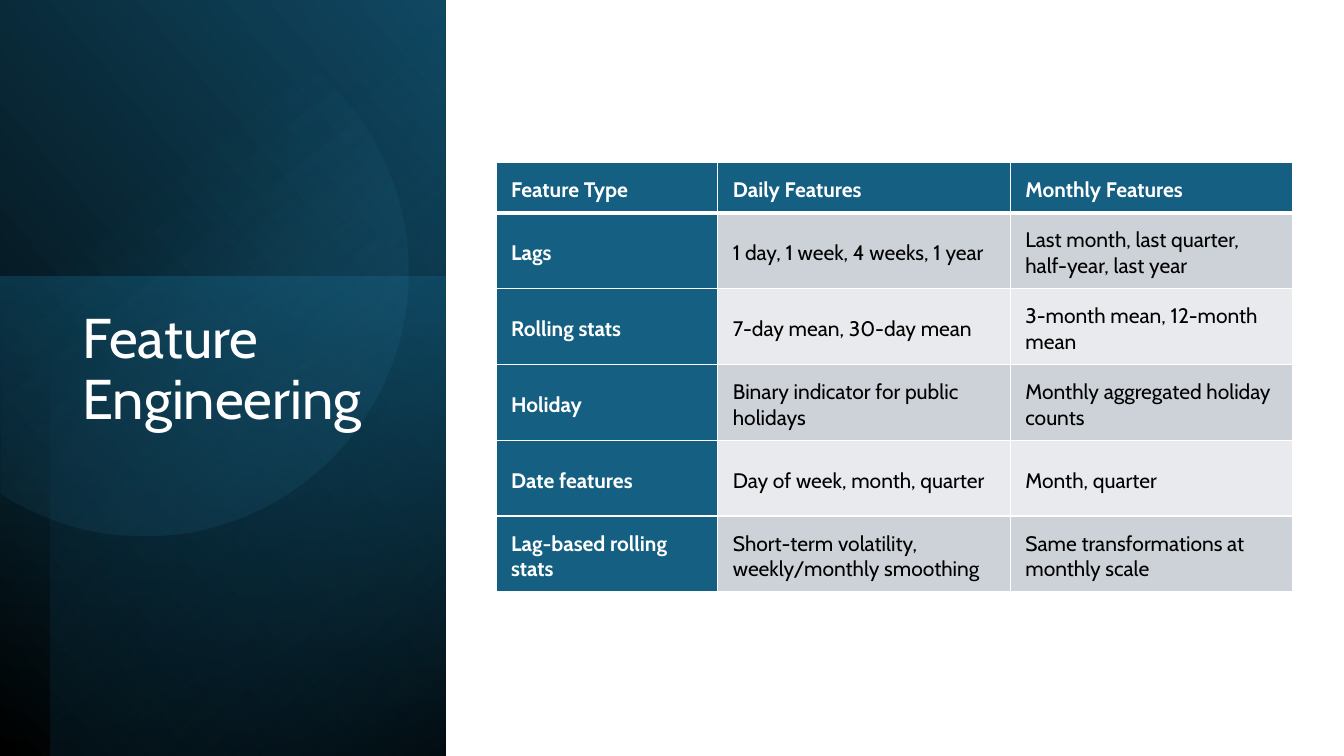
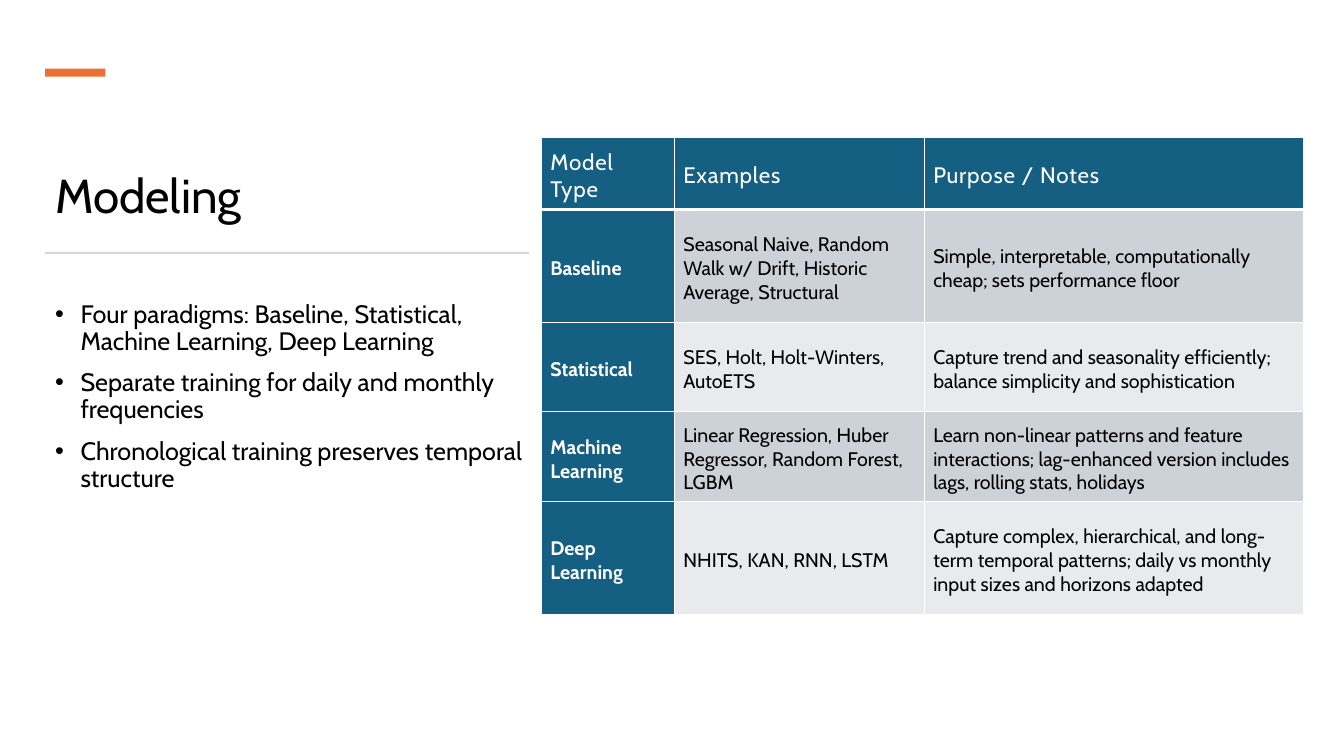
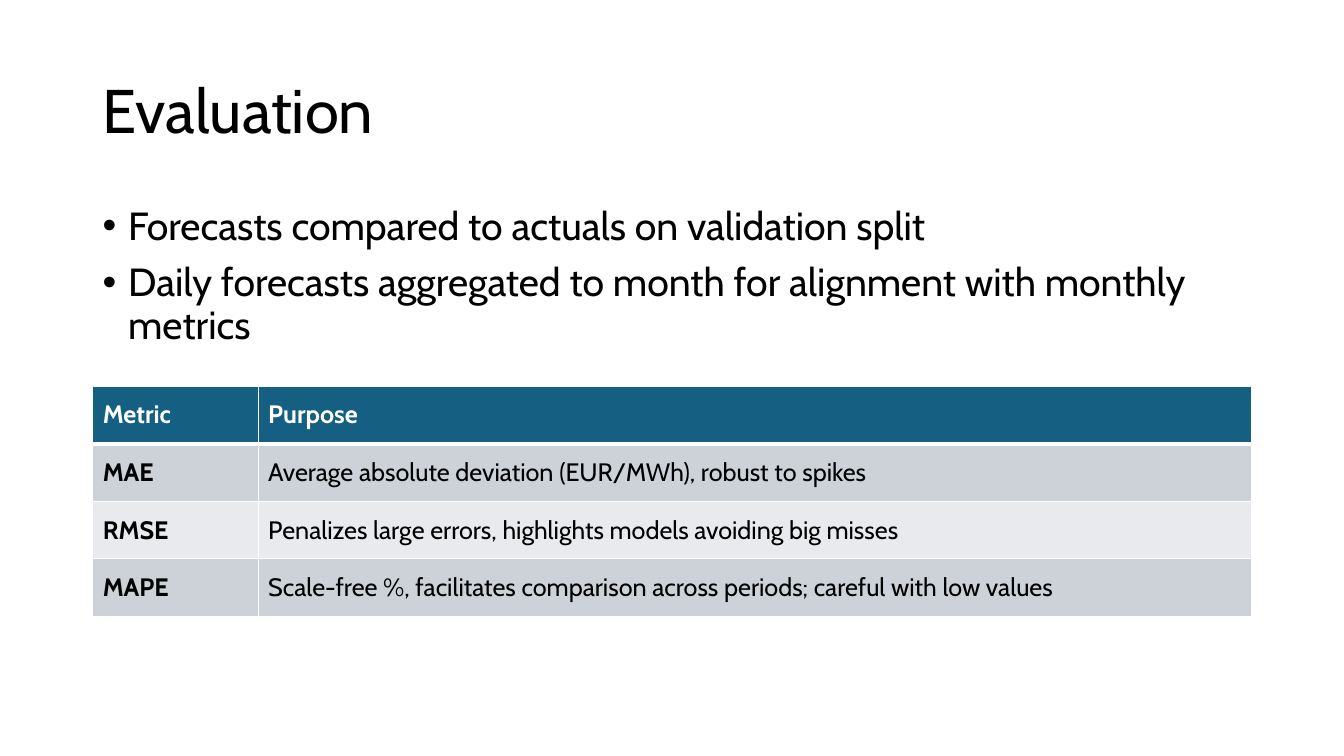
from dataclasses import dataclass
from math import cos, radians, sin
from typing import Optional

from lxml.etree import SubElement
from pptx import Presentation
from pptx.dml.color import RGBColor
from pptx.enum.shapes import MSO_SHAPE as Kind
from pptx.enum.text import MSO_ANCHOR as Anchor
from pptx.oxml import parse_xml
from pptx.oxml.ns import nsdecls, qn
from pptx.util import Cm, Pt

# Shared look
FONT = "Cabin"
WHITE, BLACK = "FFFFFF", "000000"
TEAL, ORANGE, RULE = "156082", "E97132", "D5D5D5"
BANDS = ("CCD2D8", "E8EAED")

Box = tuple[float, float, float, float]
Stop = tuple[int, str, int]  # position %, colour, opacity %


@dataclass
class Panel:
    box: Box
    turn: float
    flip: bool
    angle: int
    stops: list[Stop]


@dataclass
class Grid:
    left: float
    top: float
    cols: list[float]
    rows: list[float]
    pad: Box
    size: int
    cells: list[list[str]]
    side: bool = True  # teal first column
    head: Optional[int] = None  # header size, if not the body size
    bold: bool = True  # bold header
    space: int = 0  # header letter spacing, 1/100 pt


def color(code: str) -> RGBColor:
    return RGBColor.from_string(code)


def style(para, size: int, code: str, bold: bool = False) -> None:
    font = para.font
    font.name, font.size, font.bold = FONT, Pt(size), bold
    font.color.rgb = color(code)


# Text
def frame(slide, box: Box, anchor=Anchor.TOP):
    text = slide.shapes.add_textbox(*map(Cm, box)).text_frame
    text.word_wrap = True
    text.vertical_anchor = anchor
    return text


def title(slide, box: Box, words: str, size: int, anchor=Anchor.TOP,
          code: str = BLACK) -> None:
    para = frame(slide, box, anchor).paragraphs[0]
    para.text = words
    para.line_spacing = 0.9
    style(para, size, code)


def bullets(slide, box: Box, lines: list[str], size: int) -> None:
    text = frame(slide, box)
    for i, line in enumerate(lines):
        para = text.add_paragraph() if i else text.paragraphs[0]
        para.text = line
        para.line_spacing = 0.9
        para.space_before = Pt(10 if i else 0)
        props = para._p.get_or_add_pPr()
        props.set("marL", str(Cm(0.64)))
        props.set("indent", str(-Cm(0.64)))
        SubElement(props, qn("a:buFont")).set("typeface", "Arial")
        SubElement(props, qn("a:buChar")).set("char", "•")
        style(para, size, BLACK)


# Shapes
def plain(shape) -> None:
    shape.shadow.inherit = False
    shape.line.fill.background()


def bar(slide, box: Box, code: str) -> None:
    shape = slide.shapes.add_shape(Kind.RECTANGLE, *map(Cm, box))
    plain(shape)
    shape.fill.solid()
    shape.fill.fore_color.rgb = color(code)


def fade(shape, stops: list[Stop], angle: int) -> None:
    plain(shape)
    shape.fill.background()
    marks = "".join(
        f'<a:gs pos="{pos * 1000}"><a:srgbClr val="{code}">'
        f'<a:alpha val="{alpha * 1000}"/></a:srgbClr></a:gs>'
        for pos, code, alpha in stops)
    grad = parse_xml(
        f'<a:gradFill {nsdecls("a")} rotWithShape="1"><a:gsLst>{marks}</a:gsLst>'
        f'<a:lin ang="{angle * 60000}" scaled="0"/></a:gradFill>')
    props = shape._element.spPr
    props.replace(props.find(qn("a:noFill")), grad)


def panel(slide, item: Panel) -> None:
    shape = slide.shapes.add_shape(Kind.RECTANGLE, *map(Cm, item.box))
    shape.rotation = item.turn
    if item.flip:
        shape._element.spPr.xfrm.set("flipH", "1")
    fade(shape, item.stops, item.angle)


def disc(slide) -> None:
    """A circle cut by a chord, turned so that the chord meets the slide edge."""
    x, y, radius, turn, half = 4.6, 8.03, 6.65, 101.6, 57
    start, steps = 180 - turn + half, 120
    sweep = 360 - 2 * half
    angles = [radians(start + sweep * i / steps) for i in range(steps + 1)]
    dots = [(Cm(x + radius * cos(a)), Cm(y + radius * sin(a))) for a in angles]
    path = slide.shapes.build_freeform(*dots[0])
    path.add_line_segments(dots[1:], close=True)
    shape = path.convert_to_shape()
    shape.rotation = turn
    fade(shape, [(39, "46B1E1", 0), (100, "104862", 26)], 310)


# Tables
def border(cell, row: int) -> None:
    props = cell._tc.get_or_add_tcPr()
    for edge in "LRTB":
        thick = (row, edge) in ((0, "B"), (1, "T"))
        props.append(parse_xml(
            f'<a:ln{edge} {nsdecls("a")} w="{Pt(3 if thick else 1)}"><a:solidFill>'
            f'<a:srgbClr val="{WHITE}"/></a:solidFill></a:ln{edge}>'))


def table(slide, grid: Grid) -> None:
    made = slide.shapes.add_table(
        len(grid.rows), len(grid.cols), Cm(grid.left), Cm(grid.top),
        Cm(sum(grid.cols)), Cm(sum(grid.rows))).table
    for col, width in zip(made.columns, grid.cols):
        col.width = Cm(width)
    for row, height in zip(made.rows, grid.rows):
        row.height = Cm(height)
    for r, words in enumerate(grid.cells):
        for c, word in enumerate(words):
            cell = made.cell(r, c)
            top = r == 0
            dark = top or (grid.side and c == 0)
            border(cell, r)
            cell.fill.solid()
            cell.fill.fore_color.rgb = color(TEAL if dark else BANDS[(r - 1) % 2])
            cell.vertical_anchor = Anchor.MIDDLE
            (cell.margin_left, cell.margin_top,
             cell.margin_right, cell.margin_bottom) = map(Cm, grid.pad)
            para = cell.text_frame.paragraphs[0]
            para.text = word
            size = grid.head if top and grid.head else grid.size
            style(para, size, WHITE if dark else BLACK,
                  grid.bold if top else c == 0)
            if top and grid.space:
                para._p.pPr.find(qn("a:defRPr")).set("spc", str(grid.space))


# Slides
PANELS = [
    Panel((-3.94, 3.94, 19.1, 11.23), 90, True, 310,
          [(0, BLACK, 100), (100, "104862", 100)]),
    Panel((-0.43, 7.39, 12.09, 11.23), 270, False, 190,
          [(0, TEAL, 50), (100, "0B3041", 0)]),
    Panel((-3.28, 4.55, 19.05, 9.96), 270, True, 220,
          [(0, BLACK, 59), (69, TEAL, 0)]),
]

FEATURES = Grid(
    12.5, 4.09, [5.59, 7.37, 7.11], [1.27] + [1.91] * 5,
    (0.38, 0.33, 0.38, 0.2), 15, [
        ["Feature Type", "Daily Features", "Monthly Features"],
        ["Lags", "1 day, 1 week, 4 weeks, 1 year",
         "Last month, last quarter, half-year, last year"],
        ["Rolling stats", "7-day mean, 30-day mean",
         "3-month mean, 12-month mean"],
        ["Holiday", "Binary indicator for public holidays",
         "Monthly aggregated holiday counts"],
        ["Date features", "Day of week, month, quarter", "Month, quarter"],
        ["Lag-based rolling stats",
         "Short-term volatility, weekly/monthly smoothing",
         "Same transformations at monthly scale"],
    ])

MODELS = Grid(
    13.64, 3.45, [3.35, 6.3, 9.55], [1.83, 2.84, 2.26, 2.26, 2.84],
    (0.23, 0.25, 0.23, 0.13), 14, [
        ["Model Type", "Examples", "Purpose / Notes"],
        ["Baseline",
         "Seasonal Naive, Random Walk w/ Drift, Historic Average, Structural",
         "Simple, interpretable, computationally cheap; sets performance floor"],
        ["Statistical", "SES, Holt, Holt-Winters, AutoETS",
         "Capture trend and seasonality efficiently; "
         "balance simplicity and sophistication"],
        ["Machine Learning",
         "Linear Regression, Huber Regressor, Random Forest, LGBM",
         "Learn non-linear patterns and feature interactions; "
         "lag-enhanced version includes lags, rolling stats, holidays"],
        ["Deep Learning", "NHITS, KAN, RNN, LSTM",
         "Capture complex, hierarchical, and long-term temporal patterns; "
         "daily vs monthly input sizes and horizons adapted"],
    ], head=16, bold=False, space=60)

METRICS = Grid(
    2.34, 9.73, [4.17, 25.04], [1.45] * 4, (0.25, 0.13, 0.25, 0.13), 18, [
        ["Metric", "Purpose"],
        ["MAE", "Average absolute deviation (EUR/MWh), robust to spikes"],
        ["RMSE", "Penalizes large errors, highlights models avoiding big misses"],
        ["MAPE", "Scale-free %, facilitates comparison across periods; "
                 "careful with low values"],
    ], side=False)


def features(slide) -> None:
    for item in PANELS:
        panel(slide, item)
    disc(slide)
    title(slide, (1.83, 7.7, 8, 8.53), "Feature Engineering", 40, code=WHITE)
    table(slide, FEATURES)


def models(slide) -> None:
    title(slide, (1.14, 2.74, 12.34, 3.02), "Modeling", 34, Anchor.BOTTOM)
    bar(slide, (1.14, 1.73, 1.52, 0.2), ORANGE)
    bar(slide, (1.14, 6.35, 12.19, 0.05), RULE)
    bullets(slide, (1.14, 7.47, 12.34, 9.7), [
        "Four paradigms: Baseline, Statistical, Machine Learning, Deep Learning",
        "Separate training for daily and monthly frequencies",
        "Chronological training preserves temporal structure",
    ], 18)
    table(slide, MODELS)


def metrics(slide) -> None:
    title(slide, (2.34, 1.02, 29.21, 3.68), "Evaluation", 44, Anchor.MIDDLE)
    bullets(slide, (2.34, 5.08, 29.21, 12.09), [
        "Forecasts compared to actuals on validation split",
        "Daily forecasts aggregated to month for alignment with monthly metrics",
    ], 28)
    table(slide, METRICS)


def main() -> None:
    deck = Presentation()
    deck.slide_width, deck.slide_height = Cm(33.87), Cm(19.05)
    for draw in (features, models, metrics):
        draw(deck.slides.add_slide(deck.slide_layouts[6]))
    deck.save("out.pptx")


if __name__ == "__main__":
    main()
